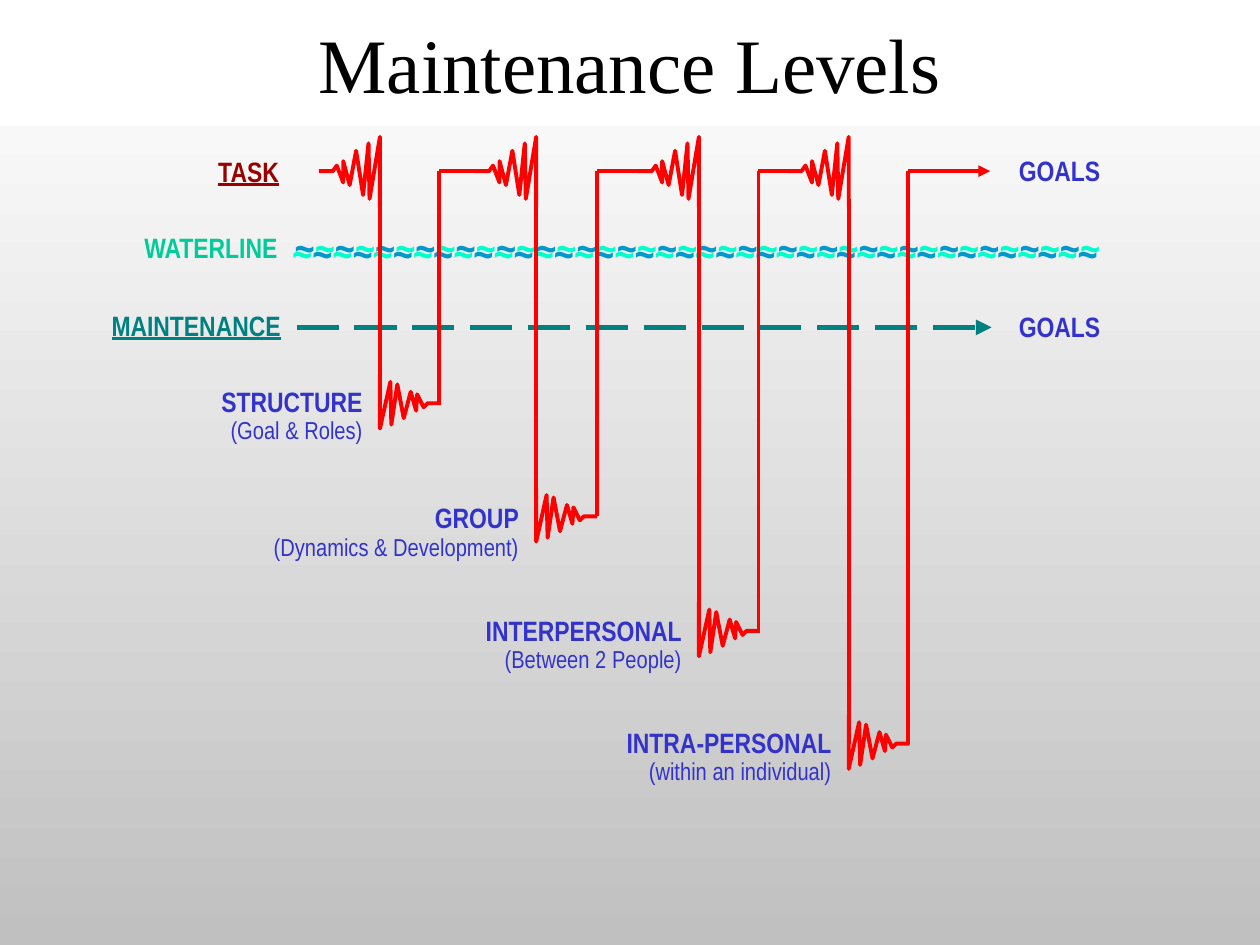
from lxml import etree
from pptx import Presentation
from pptx.dml.color import RGBColor
from pptx.enum.dml import MSO_LINE
from pptx.enum.shapes import MSO_CONNECTOR, MSO_SHAPE
from pptx.enum.text import MSO_ANCHOR, MSO_AUTO_SIZE, PP_ALIGN
from pptx.oxml.ns import qn
from pptx.util import Cm, Pt

STRAIGHT = MSO_CONNECTOR.STRAIGHT
RECTANGLE = MSO_SHAPE.RECTANGLE
LONG_DASH = MSO_LINE.LONG_DASH
FIT_SHAPE, FIXED_SIZE = MSO_AUTO_SIZE.SHAPE_TO_FIT_TEXT, MSO_AUTO_SIZE.NONE
MIDDLE = MSO_ANCHOR.MIDDLE
LEFT, CENTER, RIGHT = PP_ALIGN.LEFT, PP_ALIGN.CENTER, PP_ALIGN.RIGHT

BLACK = RGBColor(0x00, 0x00, 0x00)
PALE_GRAY = RGBColor(0xF8, 0xF8, 0xF8)
GRAY = RGBColor(0xC0, 0xC0, 0xC0)
RED = RGBColor(0xFF, 0x00, 0x00)
DARK_RED = RGBColor(0x99, 0x00, 0x00)
INDIGO = RGBColor(0x33, 0x33, 0xCC)
TEAL = RGBColor(0x00, 0x80, 0x80)
GREEN = RGBColor(0x00, 0xCC, 0x99)
AQUA = RGBColor(0x00, 0xFF, 0xCC)
BLUE = RGBColor(0x00, 0x99, 0xCC)
LABEL_FONT = "Arial Narrow"

prs = Presentation()
prs.slide_width, prs.slide_height = Cm(25.4), Cm(19.05)
slide = prs.slides.add_slide(prs.slide_layouts[6])


def add_text(left, top, width, height, text, size, color, font=LABEL_FONT,
             bold=True, align=LEFT):
    box = slide.shapes.add_textbox(Cm(left), Cm(top), Cm(width), Cm(height))
    frame = box.text_frame
    frame.word_wrap = True
    frame.auto_size = FIT_SHAPE
    frame.text = text
    for paragraph in frame.paragraphs:
        paragraph.alignment = align
        for run in paragraph.runs:
            run.font.name = font
            run.font.size = Pt(size)
            run.font.bold = bold
            run.font.color.rgb = color
    return frame


def add_line(x1, y1, x2, y2, color=RED, width=2.25, arrow=False):
    connector = slide.shapes.add_connector(STRAIGHT, Cm(x1), Cm(y1), Cm(x2), Cm(y2))
    connector.line.color.rgb = color
    connector.line.width = Pt(width)
    if arrow:
        etree.SubElement(connector.line._get_or_add_ln(), qn("a:tailEnd"), type="triangle")
    etree.SubElement(connector._element.spPr, qn("a:effectLst"))
    return connector


# Background panel
panel = slide.shapes.add_shape(RECTANGLE, 0, Cm(2.54), Cm(25.4), Cm(16.51))
panel.shadow.inherit = False
panel.line.fill.background()
panel.fill.gradient()
panel.fill.gradient_angle = 270
for stop, position, color in zip(panel.fill.gradient_stops, (0, 1), (PALE_GRAY, GRAY)):
    stop.position = position
    stop.color.rgb = color

# Waterline: two rows of waves in alternating colours
WAVES = 40
for left, top, colors in ((5.64, 4.47, (AQUA, BLUE)), (5.69, 4.34, (BLUE, AQUA))):
    waves = add_text(left, top, 17, 1.27, "~", 24, colors[0]).paragraphs[0]
    for i in range(1, WAVES):
        wave = waves.add_run()
        wave.text = "~"
        wave.font.name = LABEL_FONT
        wave.font.size = Pt(24)
        wave.font.bold = True
        wave.font.color.rgb = colors[i % 2]

# Maintenance arrow
maintenance = add_line(5.98, 6.6, 19.99, 6.6, TEAL, 3, arrow=True)
maintenance.line.dash_style = LONG_DASH

# Task path: disturbance, drop to a level, recovery, return to task
TASK_Y = 3.45
ARROW_END = 19.96
LEAD_IN = 0.95
DISTURBANCE = [(-1.23, 0), (-LEAD_IN, 0), (-0.87, -0.11), (-0.74, 0.23), (-0.74, -0.2),
               (-0.61, 0.28), (-0.48, -0.41), (-0.34, 0.48), (-0.23, -0.56),
               (-0.21, 0.56), (0, -0.69), (0, 0.73)]
RECOVERY = [(1.23, 0), (0.96, 0), (0.88, 0.08), (0.75, -0.18), (0.73, 0.15),
            (0.62, -0.23), (0.48, 0.3), (0.35, -0.38), (0.23, 0.43),
            (0.21, -0.43), (0, 0.51), (0, -0.58)]
# drop x, level y, return x, label top, width, height, line spacing, name, detail
LEVELS = [
    (7.66, 8.13, 8.85, 7.7, 3.5, 1.4, 0.9, "STRUCTURE", "(Goal & Roles)"),
    (10.81, 10.41, 12.04, 10.05, 6.02, 1.4, 0.9, "GROUP", "(Dynamics & Development)"),
    (14.09, 12.72, 15.29, 12.38, 4.6, 1.35, 0.8, "INTERPERSONAL", "(Between 2 People)"),
    (17.11, 14.99, 18.31, 14.64, 4.8, 1.35, 0.8, "INTRA-PERSONAL", "(within an individual)"),
]
next_drops = [level[0] for level in LEVELS[1:]] + [None]
for level, next_drop in zip(LEVELS, next_drops):
    drop_x, level_y, return_x, top, width, height, spacing, name, detail = level
    for offsets, base_y in ((DISTURBANCE, TASK_Y), (RECOVERY, level_y)):
        points = [(Cm(drop_x + dx), Cm(base_y + dy)) for dx, dy in offsets]
        builder = slide.shapes.build_freeform(*points[0])
        builder.add_line_segments(points[1:], close=False)
        zigzag = builder.convert_to_shape()
        zigzag.shadow.inherit = False
        zigzag.fill.background()
        zigzag.line.color.rgb = RED
        zigzag.line.width = Pt(2.25)
    add_line(drop_x, TASK_Y + 0.56, drop_x, level_y)
    add_line(return_x, level_y, return_x, TASK_Y)
    if next_drop:
        add_line(return_x, TASK_Y, next_drop - LEAD_IN, TASK_Y)
    else:
        add_line(return_x, TASK_Y, ARROW_END, TASK_Y, arrow=True)

    label = add_text(drop_x - 0.1 - width, top, width, height, f"{name}\n{detail}",
                     16, INDIGO, align=RIGHT)
    heading, note = label.paragraphs
    heading.line_spacing = spacing
    note.line_spacing = 0.9
    note.runs[0].font.size = Pt(14)
    note.runs[0].font.bold = False

# Row labels
for left, top, width, text, color, underline in (
    (4.15, 3.0, 1.9, "TASK", DARK_RED, True),
    (2.66, 4.53, 3.4, "WATERLINE", GREEN, False),
    (2.0, 6.1, 4.1, "MAINTENANCE", TEAL, True),
    (20.29, 2.97, 2.4, "GOALS", INDIGO, False),
    (20.29, 6.12, 2.4, "GOALS", INDIGO, False),
):
    row_label = add_text(left, top, width, 0.94, text, 16, color)
    if underline:
        row_label.paragraphs[0].runs[0].font.underline = True

# Title
title = add_text(1.9, 0.41, 21.59, 1.7, "Maintenance Levels", 44, BLACK,
                 "Times New Roman", bold=False, align=CENTER)
title.auto_size = FIXED_SIZE
title.vertical_anchor = MIDDLE

prs.save("out.pptx")
